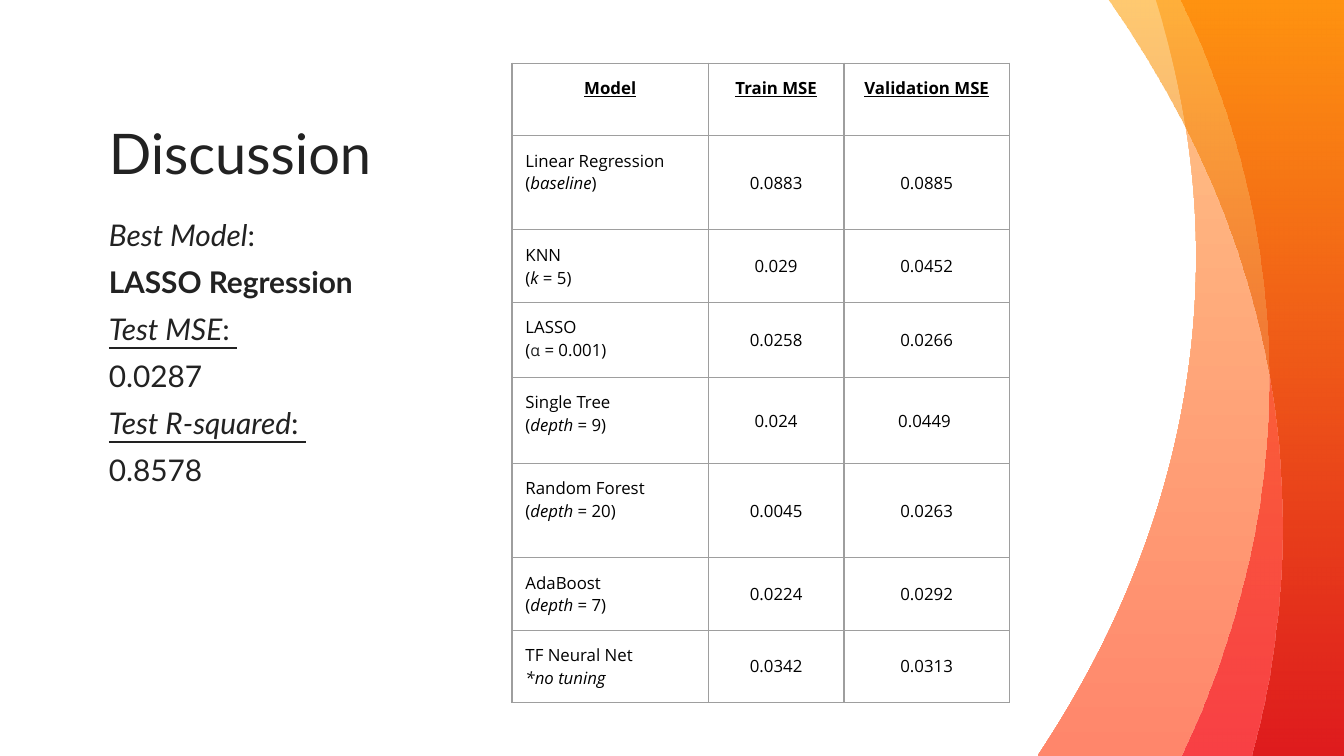
from typing import NamedTuple

from lxml import etree
from pptx import Presentation
from pptx.dml.color import RGBColor
from pptx.enum.text import MSO_ANCHOR, PP_ALIGN
from pptx.oxml.ns import qn
from pptx.util import Inches, Pt

LEFT, CENTER = PP_ALIGN.LEFT, PP_ALIGN.CENTER
TOP, MIDDLE, BOTTOM = MSO_ANCHOR.TOP, MSO_ANCHOR.MIDDLE, MSO_ANCHOR.BOTTOM

WIDE, HIGH = 10, 5.625
EDGE = 0.81  # left margin of the text column
COLORS = {
    "ink": "222222", "cell": "000000", "alpha": "202122", "rule": "9E9E9E",
    "peach": "FFC486", "coral": "FF866B", "crimson": "F20122",
    "orange": "FF6A00", "amber": "FF9F00", "red": "CC0000",
}


class Span(NamedTuple):
    text: str
    style: dict = {}


class Stop(NamedTuple):
    color: str
    alpha: int = 100


class Wave(NamedTuple):
    upper: list  # cubic Bezier from the bulge to the top edge
    lower: list  # cubic Bezier from the bottom edge to the bulge
    stops: list
    angle: int  # counter-clockwise


class Row(NamedTuple):
    high: float
    model: list
    train: str
    valid: str


def rgb(name: str) -> RGBColor:
    return RGBColor.from_string(COLORS[name])


def write(frame, lines: list, *, size: float, font: str, color: str,
          align=LEFT, gap: float = 0, **base) -> None:
    """Fill a text frame with lines, each a list of spans."""
    frame.word_wrap = True
    for i, line in enumerate(lines):
        para = frame.paragraphs[0] if i == 0 else frame.add_paragraph()
        para.alignment = align
        if i and gap:
            para.space_before = Pt(gap)
        for span in line:
            style = {"size": size, "color": color, **base, **span.style}
            run = para.add_run()
            run.text = span.text
            run.font.name = font
            run.font.size = Pt(style.pop("size"))
            run.font.color.rgb = rgb(style.pop("color"))
            for key, value in style.items():
                setattr(run.font, key, value)


def add_text(slide, top: float, wide: float, high: float, lines: list,
             anchor=TOP, **style) -> None:
    box = slide.shapes.add_textbox(*map(Inches, (EDGE, top, wide, high)))
    frame = box.text_frame
    frame.margin_left = frame.margin_right = 0
    frame.margin_top = frame.margin_bottom = 0
    frame.vertical_anchor = anchor
    write(frame, lines, font="Lato", color="ink", **style)


def bend(shape, line, curve: list) -> None:
    """Turn a straight piece of an outline into a cubic curve."""
    line.tag = qn("a:cubicBezTo")
    for i, (x, y) in enumerate(curve[1:3]):
        spot = etree.Element(qn("a:pt"), x=str(Inches(x) - shape.left),
                             y=str(Inches(y) - shape.top))
        line.insert(i, spot)


def add_wave(slide, wave: Wave) -> None:
    rim = [wave.upper[0], wave.upper[-1], (WIDE, 0), (WIDE, HIGH),
           wave.lower[0], wave.lower[-1]]
    spots = [(Inches(x), Inches(y)) for x, y in rim]
    pen = slide.shapes.build_freeform(*spots[0], scale=1)
    pen.add_line_segments(spots[1:], close=True)
    shape = pen.convert_to_shape()
    lines = list(shape.element.iter(qn("a:lnTo")))
    bend(shape, lines[0], wave.upper)
    bend(shape, lines[4], wave.lower)
    shape.shadow.inherit = False
    shape.line.fill.background()
    shape.fill.gradient()
    shape.fill.gradient_angle = wave.angle
    for mark, place, stop in zip(shape.fill.gradient_stops, (0, 1), wave.stops):
        mark.position = place
        mark.color.rgb = rgb(stop.color)
    tints = shape.element.spPr.find(qn("a:gradFill")).iter(qn("a:srgbClr"))
    for tint, stop in zip(list(tints), wave.stops):
        etree.SubElement(tint, qn("a:alpha"), val=str(stop.alpha * 1000))


def rule_cell(cell) -> None:
    """Draw a thin line on each side of a cell."""
    props = cell._tc.get_or_add_tcPr()
    for i, side in enumerate("LRTB"):
        line = etree.Element(qn(f"a:ln{side}"), w=str(Pt(0.75)))
        fill = etree.SubElement(line, qn("a:solidFill"))
        etree.SubElement(fill, qn("a:srgbClr"), val=COLORS["rule"])
        props.insert(i, line)


def set_cell(cell, lines: list, anchor, align, **style) -> None:
    cell.fill.background()
    rule_cell(cell)
    cell.margin_left = cell.margin_right = Inches(0.1)
    cell.margin_top = cell.margin_bottom = Inches(0.1)
    cell.vertical_anchor = anchor
    write(cell.text_frame, lines, size=9, font="Open Sans", color="cell",
          align=align, **style)


def add_grid(slide, left: float, top: float, cols: list, heads: list,
             rows: list) -> None:
    highs = [0.54] + [row.high for row in rows]
    area = map(Inches, (left, top, sum(cols), sum(highs)))
    grid = slide.shapes.add_table(len(highs), len(cols), *area).table
    grid.first_row = grid.horz_banding = False
    for col, wide in zip(grid.columns, cols):
        col.width = Inches(wide)
    for row, high in zip(grid.rows, highs):
        row.height = Inches(high)
    for c, head in enumerate(heads):
        set_cell(grid.cell(0, c), [[Span(head)]], TOP, CENTER,
                 bold=True, underline=True)
    for r, row in enumerate(rows, 1):
        set_cell(grid.cell(r, 0), row.model, TOP, LEFT)
        for c, score in enumerate((row.train, row.valid), 1):
            set_cell(grid.cell(r, c), [[Span(score)]], MIDDLE, CENTER)


ITALIC = {"italic": True}
UNDER = {"underline": True}
GREEK = {"size": 8.5, "color": "alpha"}


def model(name: str, key: str, value: str, style: dict = ITALIC) -> list:
    return [[Span(name)], [Span("("), Span(key, style), Span(f" = {value})")]]


WAVES = [
    Wave([(8.9, 1.91), (8.9, 1.25), (8.79, 0.61), (8.6, 0)],
         [(7.72, HIGH), (8.47, 4.5), (8.9, 3.24), (8.9, 1.91)],
         [Stop("peach"), Stop("coral")], 270),
    Wave([(9.44, 2.82), (9.44, 1.84), (9.21, 0.89), (8.78, 0)],
         [(8.79, HIGH), (9.2, 4.76), (9.44, 3.81), (9.44, 2.82)],
         [Stop("crimson", 52), Stop("orange", 72)], 90),
    Wave([(9.54, 3.91), (9.54, 2.51), (9.08, 1.19), (8.25, 0)],
         [(9.31, HIGH), (9.46, 5.08), (9.54, 4.5), (9.54, 3.91)],
         [Stop("amber", 56), Stop("red", 57)], 270),
]
FACTS = [
    [Span("Best Model", ITALIC), Span(":")],
    [Span("LASSO Regression", {"bold": True})],
    [Span("Test MSE", ITALIC | UNDER), Span(": ", UNDER)],
    [Span("0.0287")],
    [Span("Test R-squared", ITALIC | UNDER), Span(": ", UNDER)],
    [Span("0.8578")],
]
LINEAR = [[Span("Linear Regression ("), Span("baseline", ITALIC), Span(")")]]
NEURAL = [[Span("TF Neural Net")], [Span("*no tuning", ITALIC)]]
HEADS = ["Model", "Train MSE", "Validation MSE"]
ROWS = [
    Row(0.7, LINEAR, "0.0883", "0.0885"),
    Row(0.54, model("KNN", "k", "5"), "0.029", "0.0452"),
    Row(0.56, model("LASSO", "α", "0.001", GREEK), "0.0258", "0.0266"),
    Row(0.64, model("Single Tree", "depth", "9"), "0.024", "0.0449 "),
    Row(0.7, model("Random Forest", "depth", "20"), "0.0045", "0.0263"),
    Row(0.54, model("AdaBoost", "depth", "7"), "0.0224", "0.0292"),
    Row(0.54, NEURAL, "0.0342", "0.0313"),
]


def main() -> None:
    deck = Presentation()
    deck.slide_width, deck.slide_height = Inches(WIDE), Inches(HIGH)
    slide = deck.slides.add_slide(deck.slide_layouts[6])
    # Waves on the right
    for wave in WAVES:
        add_wave(slide, wave)
    # Title and findings
    add_text(slide, 0.57, 6.6, 0.81, [[Span("Discussion")]], BOTTOM, size=30)
    add_text(slide, 1.61, 3.16, 3.21, FACTS, size=16, gap=6)
    # Scores by model
    add_grid(slide, 3.81, 0.47, [1.46, 1.01, 1.23], HEADS, ROWS)
    deck.save("out.pptx")


if __name__ == "__main__":
    main()
